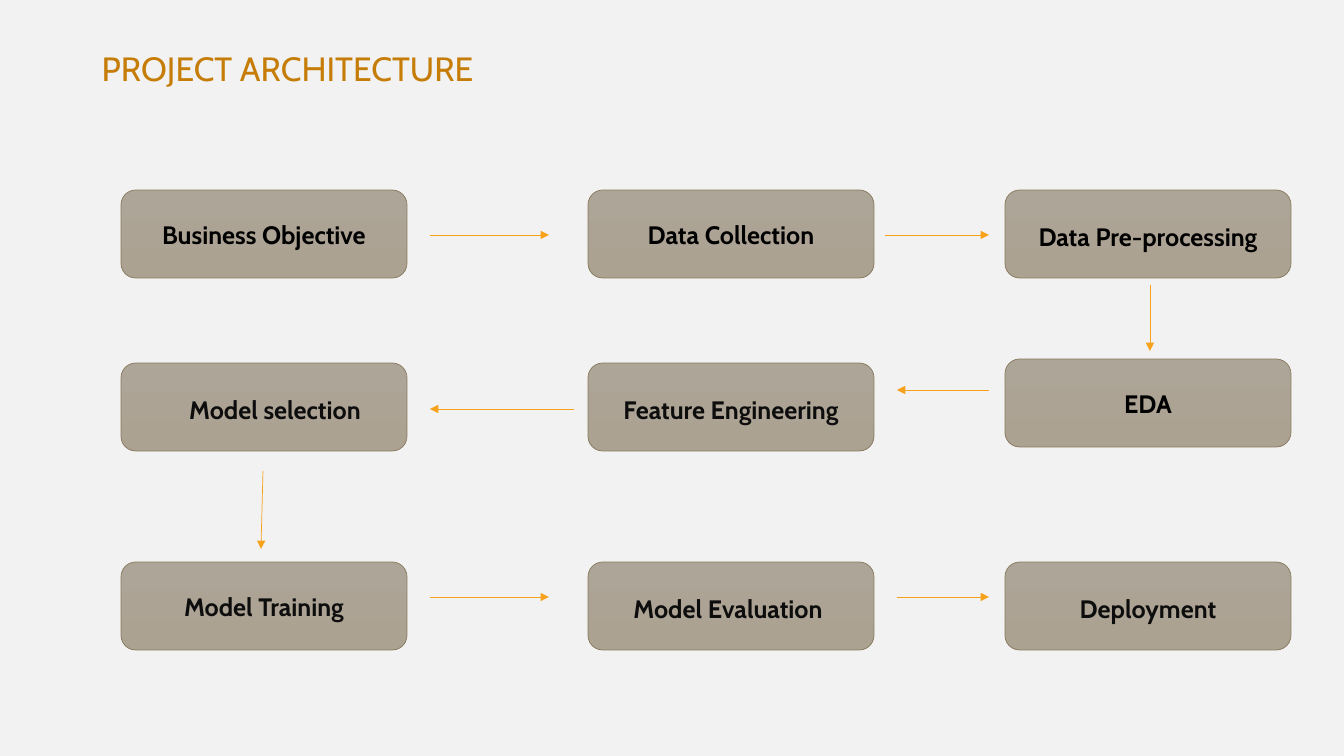
from lxml.etree import SubElement
from pptx import Presentation
from pptx.dml.color import RGBColor
from pptx.enum.shapes import MSO_CONNECTOR as Connector, MSO_SHAPE as Preset
from pptx.enum.text import MSO_ANCHOR as Anchor, MSO_AUTO_SIZE as AutoSize, PP_ALIGN as Align
from pptx.oxml.ns import qn
from pptx.util import Emu, Pt

COLORS = {
    "background": "F2F2F2",
    "title": "C67D08",
    "box_top": "ADA597",
    "box_bottom": "ABA292",
    "border": "87795D",
    "arrow": "F6A21D",
    "black": "000000",
    "dark": "0D0D0D",
}
BOX_WIDTH, BOX_HEIGHT = 286, 88
INSET = 10
LEFT, MIDDLE, RIGHT = 121, 588, 1005
TOP, CENTER, BOTTOM = 190, 363, 562


def px(length):
    return Emu(round(length * 914400 / 100.8))


def add_text(paragraph, text, size, color, bold=False):
    paragraph.alignment = Align.CENTER
    run = paragraph.add_run()
    run.text = text
    run.font.name = "Cabin"
    run.font.size = Pt(size)
    run.font.bold = bold
    run.font.color.rgb = RGBColor.from_string(COLORS[color])


deck = Presentation()
deck.slide_width, deck.slide_height = px(1344), px(756)
slide = deck.slides.add_slide(deck.slide_layouts[5])
slide.background.fill.solid()
slide.background.fill.fore_color.rgb = RGBColor.from_string(COLORS["background"])

title = slide.shapes.title
title.left, title.top, title.width, title.height = px(85), px(43), px(405), px(50)
title.text_frame.word_wrap = False
title.text_frame.auto_size = AutoSize.NONE
title.text_frame.vertical_anchor = Anchor.TOP
add_text(title.text_frame.paragraphs[0], "PROJECT ARCHITECTURE", 24, "title")

steps = [
    ("Business Objective", LEFT, TOP, "black", 1, 0),
    ("Data Collection", MIDDLE, TOP, "black", 1, 0),
    ("Data Pre-processing", RIGHT, TOP, "black", 1.15, 0),
    ("EDA", RIGHT, CENTER - 4, "black", 1, 0),
    ("Feature Engineering", MIDDLE, CENTER, "dark", 1.15, 0),
    ("Model selection", LEFT, CENTER, "dark", 1.15, 22),
    ("Model Training", LEFT, BOTTOM, "dark", 1, 0),
    ("Model Evaluation", MIDDLE, BOTTOM, "dark", 1.15, -6),
    ("Deployment", RIGHT, BOTTOM, "dark", 1.15, 0),
]
for label, left, top, color, spacing, indent in steps:
    box = slide.shapes.add_shape(
        Preset.ROUNDED_RECTANGLE, px(left), px(top), px(BOX_WIDTH), px(BOX_HEIGHT)
    )
    box.shadow.inherit = False
    box.fill.gradient()
    box.fill.gradient_angle = 270
    for stop, position, shade in zip(box.fill.gradient_stops, (0, 1), ("box_top", "box_bottom")):
        stop.position = position
        stop.color.rgb = RGBColor.from_string(COLORS[shade])
    box.line.color.rgb = RGBColor.from_string(COLORS["border"])
    box.line.width = Pt(0.5)
    frame = box.text_frame
    frame.word_wrap = True
    frame.vertical_anchor = Anchor.MIDDLE
    frame.margin_left = px(INSET + max(indent, 0))
    frame.margin_right = px(INSET + max(-indent, 0))
    frame.paragraphs[0].line_spacing = spacing
    add_text(frame.paragraphs[0], label, 18, color, bold=True)

arrows = [
    (430, 235, 549, 235),
    (885, 235, 989, 235),
    (1150, 285, 1150, 351),
    (989, 390, 897, 390),
    (574, 409, 430, 409),
    (263, 471, 261, 549),
    (430, 597, 549, 597),
    (897, 597, 989, 597),
]
for ends in arrows:
    arrow = slide.shapes.add_connector(Connector.STRAIGHT, *map(px, ends))
    arrow.line.color.rgb = RGBColor.from_string(COLORS["arrow"])
    arrow.line.width = Pt(0.5)
    SubElement(arrow.line._get_or_add_ln(), qn("a:tailEnd"), type="triangle")
    SubElement(arrow._element.spPr, qn("a:effectLst"))

deck.save("out.pptx")
